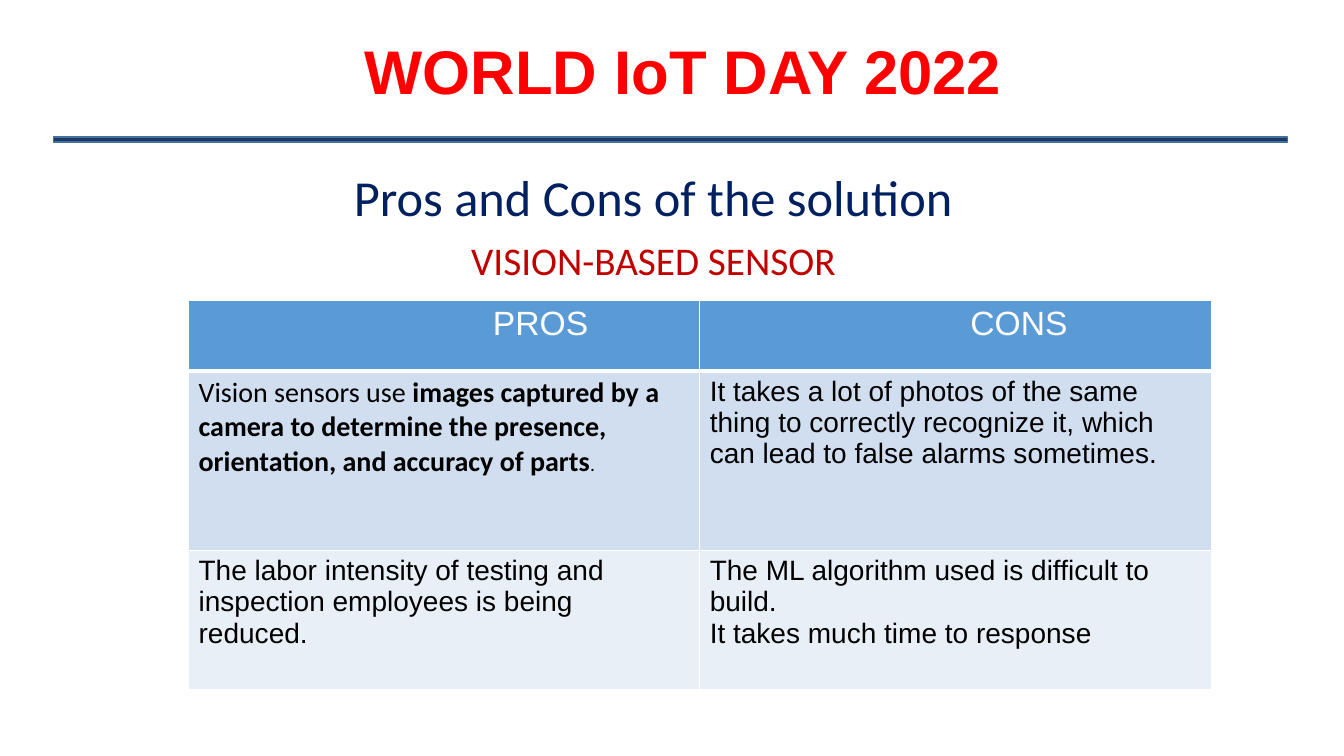
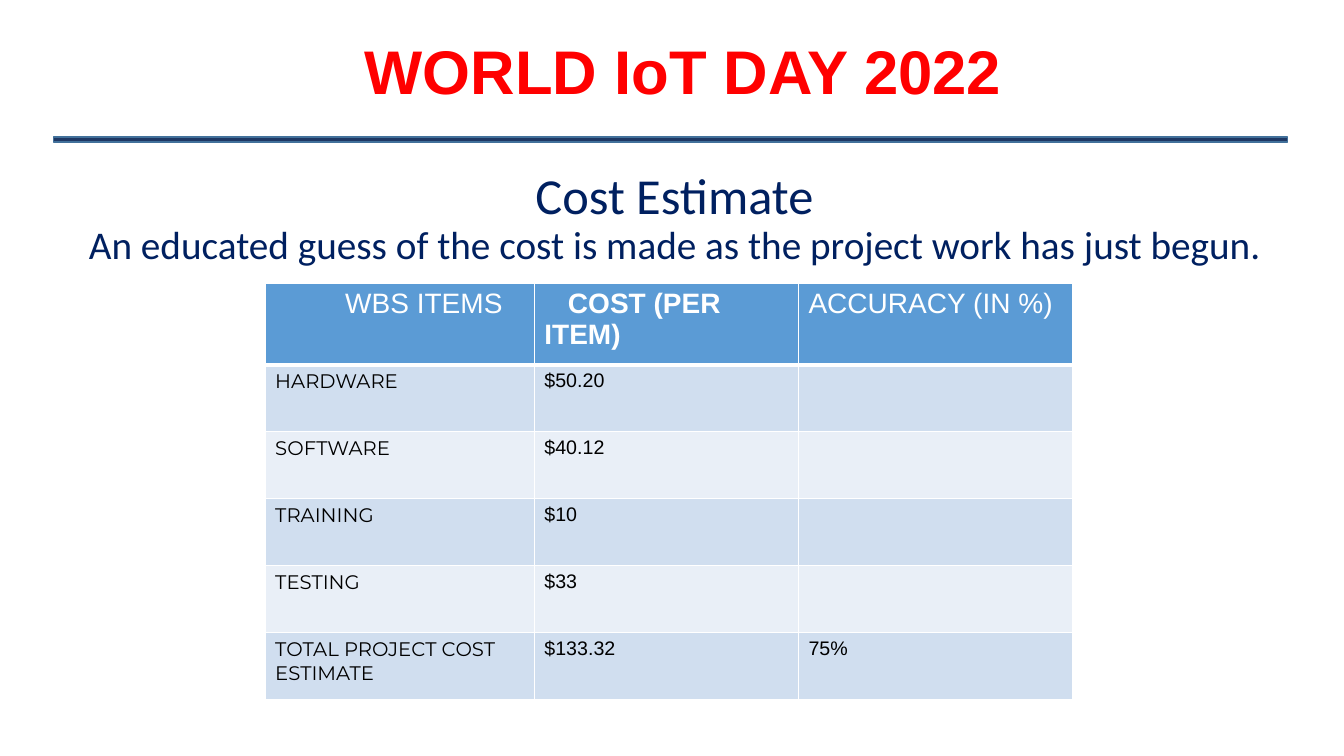
"""Builds two table slides on the pros, cons and cost of a sensor project."""
from dataclasses import dataclass
from itertools import accumulate

from lxml.etree import SubElement
from pptx import Presentation
from pptx.dml.color import RGBColor
from pptx.enum.text import PP_ALIGN
from pptx.oxml.ns import qn
from pptx.presentation import Presentation as Deck
from pptx.slide import Slide
from pptx.table import _Cell
from pptx.text.text import TextFrame, _Paragraph
from pptx.util import Emu, Inches, Pt

WIDTH, HEIGHT = Inches(13.33), Inches(7.5)


@dataclass(frozen=True)
class Theme:
    title_color: str = "FF0000"
    heading_color: str = "002060"
    accent: str = "C00000"
    rule_fill: str = "1F3864"
    rule_line: str = "42719B"
    header_fill: str = "5B9BD5"
    bands: tuple[str, str] = ("D0DEEF", "E9EFF7")
    white: str = "FFFFFF"
    black: str = "000000"
    sans: str = "Arial"
    heading_font: str = "Calibri"
    label_font: str = "Montserrat"
    title_size: int = 44
    heading_size: int = 36
    subheading_size: int = 28
    column_size: int = 24
    body_size: int = 20
    small_size: int = 14
    thin: int = 1
    thick: int = 3


THEME = Theme()


@dataclass(frozen=True)
class Area:
    """A rectangle in percent of the slide's width and height."""
    left: float
    top: float
    width: float
    height: float

    def box(self) -> tuple[Emu, Emu, Emu, Emu]:
        return across(self.left), down(self.top), across(self.width), down(self.height)


@dataclass(frozen=True)
class Run:
    text: str
    size: int = THEME.body_size
    font: str = THEME.sans
    color: str = THEME.black
    bold: bool = False


@dataclass(frozen=True)
class Entry:
    """The paragraphs of a table cell, with a first-line indent in percent."""
    paragraphs: tuple[tuple[Run, ...], ...] = ()
    indent: float = 0


@dataclass(frozen=True)
class Grid:
    """A table whose columns and rows are percents of the slide."""
    left: float
    top: float
    columns: tuple[float, ...]
    rows: tuple[float, ...]
    entries: tuple[tuple[Entry, ...], ...]


@dataclass(frozen=True)
class Page:
    heading: str
    subheading: str
    subheading_color: str
    subheading_gap: int
    left: float
    top: float
    width: float
    grid: Grid


TITLE_AREA = Area(26.41, 3.73, 66.39, 14.4)
RULE_AREA = Area(3.98, 18.13, 91.82, 0.67)


def across(percent: float) -> Emu:
    return Emu(round(WIDTH * percent / 100))


def down(percent: float) -> Emu:
    return Emu(round(HEIGHT * percent / 100))


def rgb(color: str) -> RGBColor:
    return RGBColor.from_string(color)


def write(paragraph: _Paragraph, text: str, *, size: int, font: str, color: str,
          bold: bool = False, align: PP_ALIGN | None = None,
          spacing: float | None = None, before: int = 0) -> None:
    if align is not None:
        paragraph.alignment = align
    if spacing is not None:
        paragraph.line_spacing = spacing
    if before:
        paragraph.space_before = Pt(before)
    run = paragraph.add_run()
    run.text = text
    run.font.size = Pt(size)
    run.font.name = font
    run.font.color.rgb = rgb(color)
    run.font.bold = bold


def add_frame(slide: Slide, area: Area) -> TextFrame:
    frame = slide.shapes.add_textbox(*area.box()).text_frame
    frame.word_wrap = True
    return frame


def draw_banner(slide: Slide) -> None:
    rule = slide.shapes.add_shape(1, *RULE_AREA.box())
    rule.shadow.inherit = False
    rule.fill.solid()
    rule.fill.fore_color.rgb = rgb(THEME.rule_fill)
    rule.line.color.rgb = rgb(THEME.rule_line)
    rule.line.width = Pt(THEME.thin)
    write(add_frame(slide, TITLE_AREA).paragraphs[0], "WORLD IoT DAY 2022",
          size=THEME.title_size, font=THEME.sans, color=THEME.title_color, bold=True)


def draw_headings(slide: Slide, page: Page) -> None:
    area = Area(page.left, page.top, page.width, page.grid.top - page.top)
    frame = add_frame(slide, area)
    write(frame.paragraphs[0], page.heading, size=THEME.heading_size,
          font=THEME.heading_font, color=THEME.heading_color,
          align=PP_ALIGN.CENTER, spacing=0.9)
    write(frame.add_paragraph(), page.subheading, size=THEME.subheading_size,
          font=THEME.heading_font, color=page.subheading_color,
          align=PP_ALIGN.CENTER, spacing=0.9, before=page.subheading_gap)


def set_borders(cell: _Cell, row: int) -> None:
    properties = cell._tc.get_or_add_tcPr()
    top = THEME.thick if row == 1 else THEME.thin
    bottom = THEME.thick if row == 0 else THEME.thin
    widths = {"L": THEME.thin, "R": THEME.thin, "T": top, "B": bottom}
    for side, width in widths.items():
        border = SubElement(properties, qn(f"a:ln{side}"), w=str(Pt(width)))
        fill = SubElement(border, qn("a:solidFill"))
        SubElement(fill, qn("a:srgbClr"), val=THEME.white)


def fill_cell(cell: _Cell, entry: Entry, row: int) -> None:
    set_borders(cell, row)
    cell.fill.solid()
    color = THEME.bands[(row - 1) % 2] if row else THEME.header_fill
    cell.fill.fore_color.rgb = rgb(color)
    for index, runs in enumerate(entry.paragraphs):
        frame = cell.text_frame
        paragraph = frame.add_paragraph() if index else frame.paragraphs[0]
        if entry.indent:
            paragraph._p.get_or_add_pPr().set("indent", str(across(entry.indent)))
        for run in runs:
            write(paragraph, run.text, size=run.size, font=run.font,
                  color=run.color, bold=run.bold)


def draw_grid(slide: Slide, grid: Grid) -> None:
    area = Area(grid.left, grid.top, sum(grid.columns), sum(grid.rows))
    table = slide.shapes.add_table(len(grid.rows), len(grid.columns), *area.box()).table
    for column, width in zip(table.columns, grid.columns):
        column.width = across(width)
    edges = [0, *accumulate(grid.rows)]
    for row, (start, end) in zip(table.rows, zip(edges, edges[1:])):
        row.height = Emu(down(end) - down(start))
    for row, entries in enumerate(grid.entries):
        for column, entry in enumerate(entries):
            fill_cell(table.cell(row, column), entry, row)


def header(text: str, size: int, indent: float = 0, bold: bool = False) -> Entry:
    return Entry(((Run(text, size, color=THEME.white, bold=bold),),), indent)


def plain(*texts: str) -> Entry:
    return Entry(tuple((Run(text),) for text in texts))


def small(text: str, font: str = THEME.sans) -> Entry:
    return Entry(((Run(text, THEME.small_size, font),),)) if text else Entry()


VISION_USE = Entry(((
    Run("Vision sensors use ", font=THEME.heading_font),
    Run("images captured by a camera to determine the presence, orientation, "
        "and accuracy of parts", font=THEME.heading_font, bold=True),
    Run(".", THEME.small_size, THEME.heading_font),
),))

PROS_AND_CONS = Grid(
    14.03, 39.73, (38.03, 38.1), (9.33, 23.73, 18.4),
    (
        (header("PROS", THEME.column_size, 21.9),
         header("CONS", THEME.column_size, 19.4)),
        (VISION_USE,
         plain("It takes a lot of photos of the same thing to correctly recognize it, "
               "which can lead to false alarms sometimes.")),
        (plain("The labor intensity of testing and inspection employees is being reduced."),
         plain("The ML algorithm used is difficult to build.",
               "It takes much time to response")),
    ),
)

COSTS = (
    ("HARDWARE", "$50.20", ""),
    ("SOFTWARE", "$40.12", ""),
    ("TRAINING", "$10", ""),
    ("TESTING", "$33", ""),
    ("TOTAL PROJECT COST ESTIMATE", "$133.32", "75%"),
)

COST_ESTIMATE = Grid(
    19.73, 37.47, (20.03, 19.65, 20.41), (10.8,) + (8.85,) * len(COSTS),
    (
        (header("WBS ITEMS", THEME.body_size, 5.2),
         header("COST (PER ITEM)", THEME.body_size, 1.75, bold=True),
         header("ACCURACY (IN %)", THEME.body_size)),
        *((small(item, THEME.label_font), small(cost), small(accuracy))
          for item, cost, accuracy in COSTS),
    ),
)

PAGES = (
    Page("Pros and Cons of the solution", "VISION-BASED SENSOR", THEME.accent, 10,
         3.68, 22.27, 89.87, PROS_AND_CONS),
    Page("Cost Estimate",
         "An educated guess of the cost is made as the project work has just begun.",
         THEME.heading_color, 0, 4.2, 22, 91.97, COST_ESTIMATE),
)


def add_page(deck: Deck, page: Page) -> None:
    slide = deck.slides.add_slide(deck.slide_layouts[6])
    draw_banner(slide)
    draw_headings(slide, page)
    draw_grid(slide, page.grid)


def main() -> None:
    deck = Presentation()
    deck.slide_width, deck.slide_height = WIDTH, HEIGHT
    for page in PAGES:
        add_page(deck, page)
    deck.save("out.pptx")


if __name__ == "__main__":
    main()
